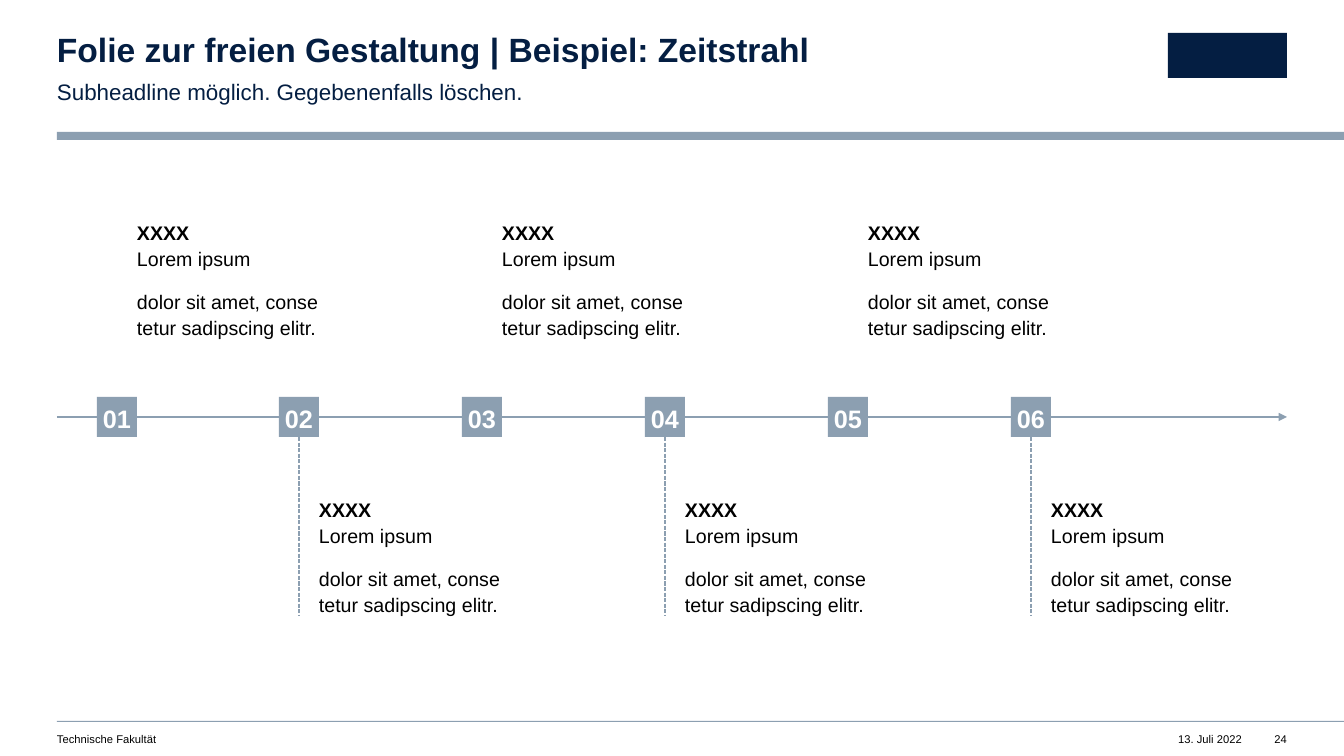
from lxml.etree import SubElement
from pptx import Presentation
from pptx.dml.color import RGBColor
from pptx.enum.dml import MSO_LINE
from pptx.enum.shapes import MSO_CONNECTOR, MSO_SHAPE
from pptx.enum.text import MSO_ANCHOR, PP_ALIGN
from pptx.oxml.ns import qn
from pptx.util import Emu, Inches, Pt

SCALE = Inches(1) / 100.8
COLORS = {"navy": "041E42", "steel": "8C9FB1", "black": "000000", "white": "FFFFFF"}


def px(count):
    return Emu(round(count * SCALE))


def color(name):
    return RGBColor.from_string(COLORS[name])


class TimelinePage:
    font = "Arial"

    def __init__(self, page):
        self.shapes = page.shapes

    def fill_text(self, shape, paragraphs, size, ink, bold=False, align=PP_ALIGN.LEFT,
                  spacing=None, after=0, anchor=MSO_ANCHOR.TOP, wrap=True):
        """Write one paragraph per string; a vertical tab is a line break."""
        frame = shape.text_frame
        frame.margin_left = frame.margin_right = frame.margin_top = frame.margin_bottom = 0
        frame.word_wrap = wrap
        frame.vertical_anchor = anchor
        frame.text = "\n".join(paragraphs)
        for para in frame.paragraphs:
            para.alignment = align
            para.line_spacing = spacing
            para.space_after = Pt(after)
            for span in para.runs:
                span.font.name = self.font
                span.font.size = Pt(size)
                span.font.bold = bold
                span.font.color.rgb = color(ink)
            for line_break in para._p.findall(qn("a:br")):
                SubElement(line_break, qn("a:rPr"), sz=str(size * 100))

    def text(self, left, top, width, height, paragraphs, size, ink="black", **style):
        box = self.shapes.add_textbox(px(left), px(top), px(width), px(height))
        self.fill_text(box, paragraphs, size, ink, **style)
        return box

    def block(self, left, top, width, height, fill="steel"):
        box = self.shapes.add_shape(MSO_SHAPE.RECTANGLE, px(left), px(top), px(width), px(height))
        box.shadow.inherit = False
        box.fill.solid()
        box.fill.fore_color.rgb = color(fill)
        box.line.fill.background()
        return box

    def line(self, x1, y1, x2, y2, dashed=False, arrow=False):
        rule = self.shapes.add_connector(MSO_CONNECTOR.STRAIGHT, px(x1), px(y1), px(x2), px(y2))
        rule.line.color.rgb = color("steel")
        rule.line.width = Pt(1)
        if dashed:
            rule.line.dash_style = MSO_LINE.SQUARE_DOT
        if arrow:
            SubElement(rule.line._get_or_add_ln(), qn("a:tailEnd"), type="triangle")
        SubElement(rule._element.spPr, qn("a:effectLst"))

    def milestone(self, number, left, side, top):
        """Draw a numbered square with its note at the given top."""
        if number % 2 == 0:
            self.line(left + side // 2, 437, left + side // 2, 616, dashed=True)
        square = self.block(left, 397, side, side)
        self.fill_text(square, [f"{number:02}"], 18, "white", bold=True, align=PP_ALIGN.CENTER,
                       spacing=1.1, after=12, anchor=MSO_ANCHOR.MIDDLE)
        # Lower notes stand clear of their dashed line, upper ones beside the square.
        note_left = left + side
        note = self.text(note_left, top, 197, 119,
                         ["XXXX\vLorem ipsum", "dolor sit amet, conse\vtetur sadipscing elitr."],
                         14, spacing=1.1, after=12)
        note.text_frame.paragraphs[0].runs[0].font.bold = True


def main():
    deck = Presentation()
    deck.slide_width, deck.slide_height = px(1344), px(756)
    page = TimelinePage(deck.slides.add_slide(deck.slide_layouts[6]))

    page.block(57, 132, 1287, 8)
    page.block(57, 721, 1287, 1)
    page.block(1168, 33, 119, 45, "navy")
    page.text(57, 33, 755, 36, ["Folie zur freien Gestaltung | Beispiel: Zeitstrahl"], 24, "navy",
              bold=True, spacing=0.9)
    page.text(57, 76, 755, 27, ["Subheadline möglich. Gegebenenfalls löschen."], 16, "navy",
              spacing=1.1, after=12)

    page.text(57, 732, 603, 13, ["Technische Fakultät"], 8)
    page.text(1176, 732, 66, 13, ["13. Juli 2022"], 8, align=PP_ALIGN.RIGHT, wrap=False)
    page.text(1274, 732, 13, 13, ["24"], 8, align=PP_ALIGN.RIGHT, wrap=False)

    page.line(57, 417, 1287, 417, arrow=True)
    for index in range(6):
        left = 97 + index * 914 // 5
        page.milestone(index + 1, left, side=40, top=496 if index % 2 else 219)

    deck.save("out.pptx")


if __name__ == "__main__":
    main()
